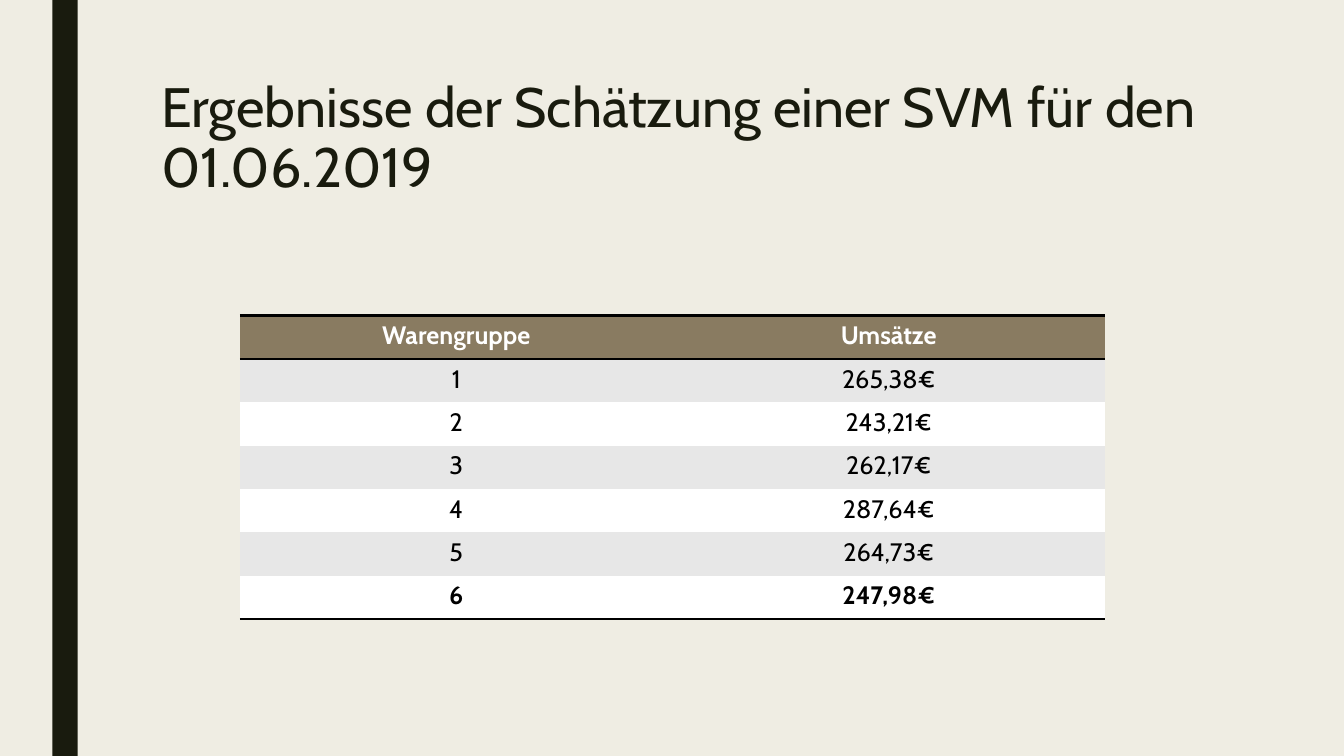
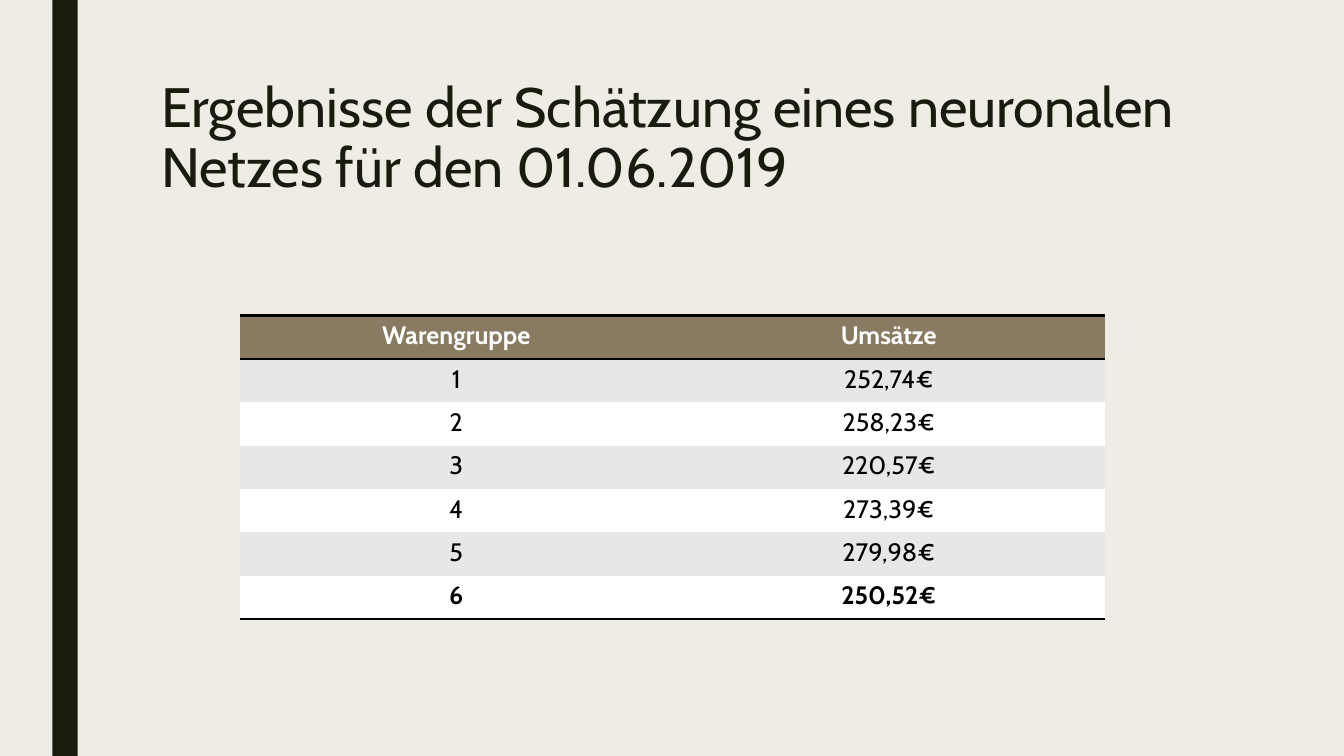
from dataclasses import dataclass

from lxml import etree
from pptx import Presentation
from pptx.dml.color import RGBColor
from pptx.enum.shapes import MSO_SHAPE
from pptx.enum.text import MSO_ANCHOR, PP_ALIGN
from pptx.oxml.ns import qn
from pptx.util import Inches, Pt

RECTANGLE = MSO_SHAPE.RECTANGLE
TOP = MSO_ANCHOR.TOP
CENTER = PP_ALIGN.CENTER
NO_TABLE_STYLE = "{2D5ABB26-0587-4C30-8999-92F81FD0307C}"


@dataclass(frozen=True)
class Theme:
    font: str = "Cabin"
    background: str = "EFEDE3"
    dark: str = "191B0E"
    header: str = "897B61"
    odd_row: str = "E7E7E7"
    even_row: str = "FFFFFF"
    header_text: str = "FFFFFF"
    body_text: str = "000000"
    rule: str = "000000"
    title_size: float = 39.6
    table_size: float = 18
    title_spacing: float = 0.89
    rule_width: float = 2


class Deck:
    """Holds the presentation, its style and the current slide."""

    def __init__(self, theme):
        self.theme = theme
        self.presentation = Presentation()
        self.presentation.slide_width = Inches(13.33)
        self.presentation.slide_height = Inches(7.5)
        self.paint(self.presentation.slide_master.background.fill, theme.background)
        self.slide = None

    def paint(self, fill, color):
        fill.solid()
        fill.fore_color.rgb = RGBColor.from_string(color)

    def style(self, paragraph, size, color, bold=False):
        font = paragraph.font
        font.name = self.theme.font
        font.size = Pt(size)
        font.bold = bold
        font.color.rgb = RGBColor.from_string(color)

    def add_slide(self, title):
        blank_layout = self.presentation.slide_layouts[6]
        self.slide = self.presentation.slides.add_slide(blank_layout)
        self.add_band()
        self.add_title(title)

    def add_band(self):
        band = self.slide.shapes.add_shape(
            RECTANGLE, Inches(0.52), 0, Inches(0.25), self.presentation.slide_height)
        band.shadow.inherit = False
        self.paint(band.fill, self.theme.dark)
        band.line.fill.background()

    def add_title(self, text):
        box = self.slide.shapes.add_textbox(
            Inches(1.5), Inches(0.75), Inches(10.5), Inches(1.62))
        frame = box.text_frame
        frame.word_wrap = True
        frame.vertical_anchor = TOP
        paragraph = frame.paragraphs[0]
        paragraph.text = text
        paragraph.line_spacing = self.theme.title_spacing
        self.style(paragraph, self.theme.title_size, self.theme.dark)

    def add_border(self, cell, tag):
        properties = cell._tc.get_or_add_tcPr()
        line = etree.SubElement(properties, qn(tag), w=str(Pt(self.theme.rule_width)))
        fill = etree.SubElement(line, qn("a:solidFill"))
        etree.SubElement(fill, qn("a:srgbClr"), val=self.theme.rule)

    def add_table(self, rows):
        theme = self.theme
        frame = self.slide.shapes.add_table(
            len(rows), len(rows[0]), Inches(2.38), Inches(3.13),
            Inches(8.58), Inches(0.43) * len(rows))
        table = frame.table
        table._tbl.tblPr.find(qn("a:tableStyleId")).text = NO_TABLE_STYLE
        last = len(rows) - 1

        for row_index, values in enumerate(rows):
            is_header = row_index == 0
            is_last = row_index == last
            if is_header:
                fill_color = theme.header
            else:
                fill_color = theme.odd_row if row_index % 2 else theme.even_row
            text_color = theme.header_text if is_header else theme.body_text

            for column_index, value in enumerate(values):
                cell = table.cell(row_index, column_index)
                # Borders precede the fill in the cell properties
                if is_header:
                    self.add_border(cell, "a:lnT")
                if is_header or is_last:
                    self.add_border(cell, "a:lnB")
                self.paint(cell.fill, fill_color)
                paragraph = cell.text_frame.paragraphs[0]
                paragraph.text = value
                paragraph.alignment = CENTER
                self.style(paragraph, theme.table_size, text_color,
                           bold=is_header or is_last)


# Estimated sales for product groups 1 to 6, by model
RESULTS = {
    "Ergebnisse der Schätzung einer SVM für den 01.06.2019":
        ["265,38€", "243,21€", "262,17€", "287,64€", "264,73€", "247,98€"],
    "Ergebnisse der Schätzung eines neuronalen Netzes für den 01.06.2019":
        ["252,74€", "258,23€", "220,57€", "273,39€", "279,98€", "250,52€"],
}


def main():
    deck = Deck(Theme())
    for title, sales in RESULTS.items():
        deck.add_slide(title)
        groups = [(str(group), value) for group, value in enumerate(sales, start=1)]
        deck.add_table([("Warengruppe", "Umsätze")] + groups)
    deck.presentation.save("out.pptx")


if __name__ == "__main__":
    main()
